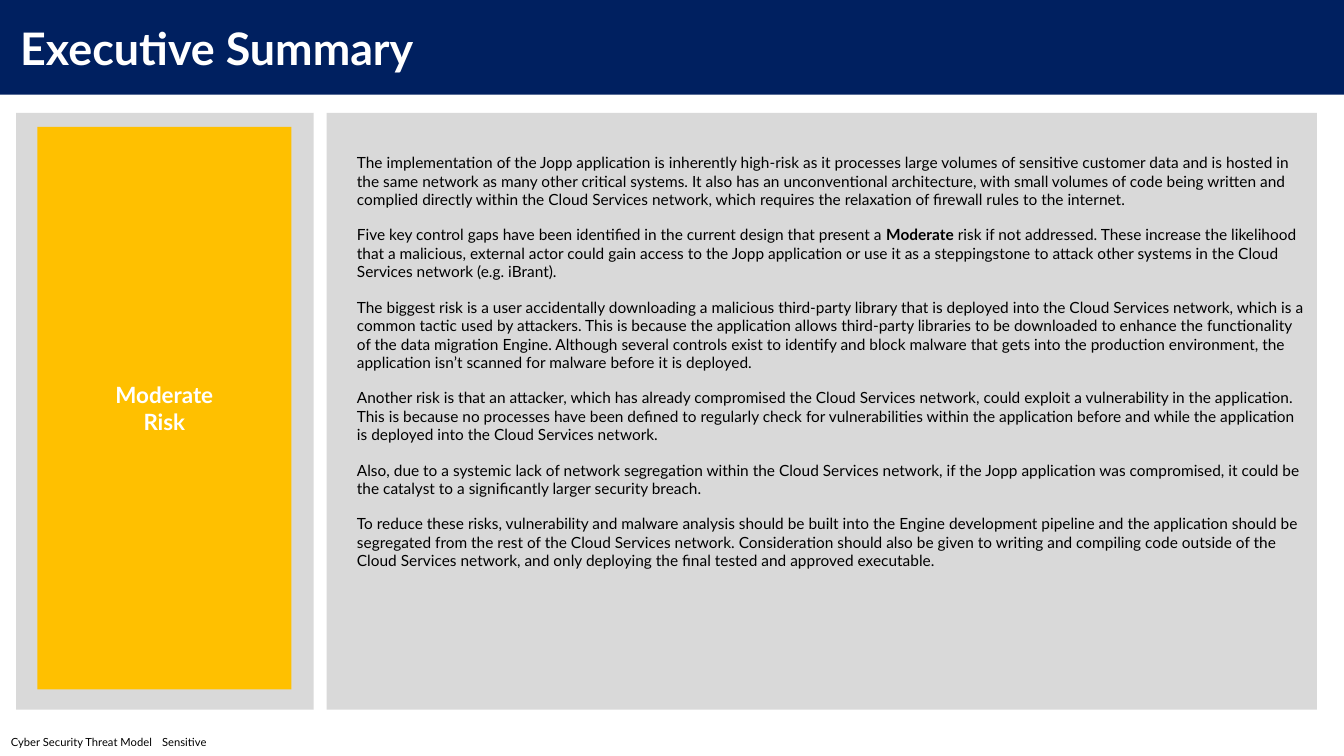
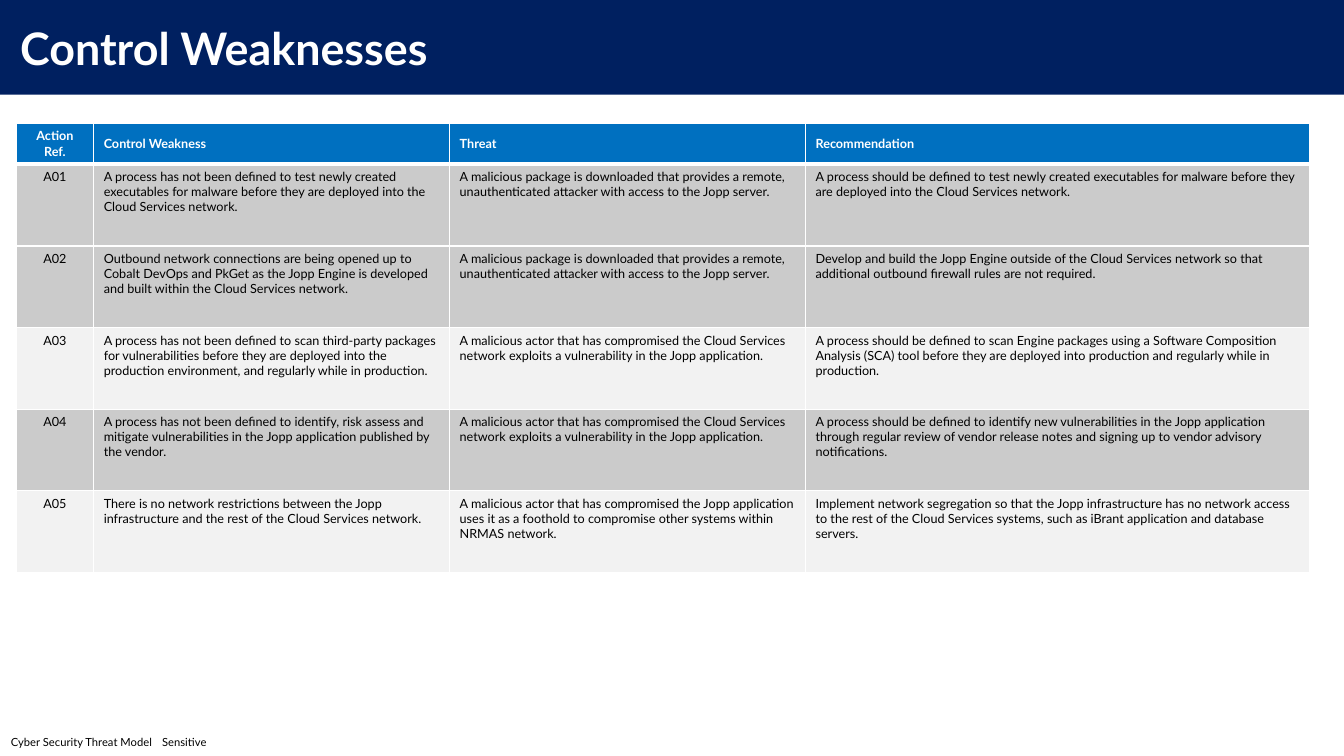
from pptx import Presentation, util as u
from pptx.dml.color import RGBColor
from pptx.enum import shapes, text
from pptx.oxml.ns import qn
from lxml import etree

Inches, Pt = u.Inches, u.Pt
FONT = "Lato"
COLORS = {
    "navy": "002060", "blue": "0070C0", "amber": "FFC000", "white": "FFFFFF",
    "black": "000000", "panel": "D9D9D9", "dark_row": "CBCBCB", "light_row": "F2F2F2",
}
SLIDE_W, SLIDE_H = 13.33, 7.5
LAYOUT_TITLE_BODY, LAYOUT_TITLE_ONLY = 1, 5

# Each paragraph is a list of (text, bold) runs.
SUMMARY = [
    [("The implementation of the Jopp application is inherently high-risk as it processes large "
      "volumes of sensitive customer data and is hosted in the same network as many other critical "
      "systems. It also has an unconventional architecture, with small volumes of code being written "
      "and complied directly within the Cloud Services network, which requires the relaxation of "
      "firewall rules to the internet.", False)],
    [("Five key control gaps have been identified in the current design that present a ", False),
     ("Moderate", True),
     (" risk if not addressed. These increase the likelihood that a malicious, external actor could "
      "gain access to the Jopp application or use it as a steppingstone to attack other systems in "
      "the Cloud Services network (e.g. iBrant).", False)],
    [("The biggest risk is a user accidentally downloading a malicious third-party library that is "
      "deployed into the Cloud Services network, which is a common tactic used by attackers. This is "
      "because the application allows third-party libraries to be downloaded to enhance the "
      "functionality of the data migration Engine. Although several controls exist to identify and "
      "block malware that gets into the production environment, the application isn’t scanned for "
      "malware before it is deployed.", False)],
    [("Another risk is that an attacker, which has already compromised the Cloud Services network, "
      "could exploit a vulnerability in the application. This is because no processes have been "
      "defined to regularly check for vulnerabilities within the application before and while the "
      "application is deployed into the Cloud Services network.", False)],
    [("Also, due to a systemic lack of network segregation within the Cloud Services network, if the "
      "Jopp application was compromised, it could be the catalyst to a significantly larger security "
      "breach.", False)],
    [("To reduce these risks, vulnerability and malware analysis should be built into the Engine "
      "development pipeline and the application should be segregated from the rest of the Cloud "
      "Services network. Consideration should also be given to writing and compiling code outside of "
      "the Cloud Services network, and only deploying the final tested and approved executable.",
      False)],
]

HEADINGS = ["Action Ref.", "Control Weakness", "Threat", "Recommendation"]
COLUMN_WIDTHS = [0.77, 3.53, 3.53, 5]
HEADER_H, ROW_H = 0.41, 0.81
PACKAGE_THREAT = ("A malicious package is downloaded that provides a remote, unauthenticated "
                  "attacker with access to the Jopp server.")
EXPLOIT_THREAT = ("A malicious actor that has compromised the Cloud Services network exploits a "
                  "vulnerability in the Jopp application.")
LIGHT_REFS = {"A03", "A05"}
WEAKNESSES = [
    ("A01",
     "A process has not been defined to test newly created executables for malware before they are "
     "deployed into the Cloud Services network.",
     PACKAGE_THREAT,
     "A process should be defined to test newly created executables for malware before they are "
     "deployed into the Cloud Services network."),
    ("A02",
     "Outbound network connections are being opened up to Cobalt DevOps and PkGet as the Jopp Engine "
     "is developed and built within the Cloud Services network.",
     PACKAGE_THREAT,
     "Develop and build the Jopp Engine outside of the Cloud Services network so that additional "
     "outbound firewall rules are not required."),
    ("A03",
     "A process has not been defined to scan third-party packages for vulnerabilities before they "
     "are deployed into the production environment, and regularly while in production.",
     EXPLOIT_THREAT,
     "A process should be defined to scan Engine packages using a Software Composition Analysis "
     "(SCA) tool before they are deployed into production and regularly while in production."),
    ("A04",
     "A process has not been defined to identify, risk assess and mitigate vulnerabilities in the "
     "Jopp application published by the vendor.",
     EXPLOIT_THREAT,
     "A process should be defined to identify new vulnerabilities in the Jopp application through "
     "regular review of vendor release notes and signing up to vendor advisory notifications."),
    ("A05",
     "There is no network restrictions between the Jopp infrastructure and the rest of the Cloud "
     "Services network.",
     "A malicious actor that has compromised the Jopp application uses it as a foothold to "
     "compromise other systems within NRMAS network.",
     "Implement network segregation so that the Jopp infrastructure has no network access to the "
     "rest of the Cloud Services systems, such as iBrant application and database servers."),
]


def rgb(name):
    return RGBColor.from_string(COLORS[name])


def paint(target, color):
    target.fill.solid()
    target.fill.fore_color.rgb = rgb(color)


def place(shape, left, top, width, height):
    shape.left, shape.top = Inches(left), Inches(top)
    shape.width, shape.height = Inches(width), Inches(height)


def add_run(paragraph, words, size, color="black", bold=False):
    run = paragraph.add_run()
    run.text = words
    run.font.name, run.font.size, run.font.bold = FONT, Pt(size), bold
    run.font.color.rgb = rgb(color)


def indent(paragraph, left):
    """Set a flush left margin without a bullet."""
    props = paragraph._p.get_or_add_pPr()
    props.set("marL", str(Inches(left)))
    props.set("indent", "0")
    etree.SubElement(props, qn("a:buNone"))
    return props


def paragraphs(frame, count):
    return [frame.paragraphs[0]] + [frame.add_paragraph() for _ in range(count - 1)]


def add_title_band(slide, words):
    title = slide.shapes.title
    place(title, 0, 0, SLIDE_W, 0.94)
    paint(title, "navy")
    frame = title.text_frame
    frame.auto_size = text.MSO_AUTO_SIZE.NONE
    frame.vertical_anchor = text.MSO_ANCHOR.MIDDLE
    heading = frame.paragraphs[0]
    heading.alignment = text.PP_ALIGN.LEFT
    indent(heading, 0.1)
    add_run(heading, words, 32, "white", True)


def add_footer(slide):
    height = 0.27
    footer = slide.shapes.add_textbox(0, Inches(SLIDE_H - height), Inches(SLIDE_W), Inches(height))
    frame = footer.text_frame
    frame.word_wrap = True
    frame.vertical_anchor = text.MSO_ANCHOR.MIDDLE
    line = frame.paragraphs[0]
    stops = etree.SubElement(indent(line, 0.01), qn("a:tabLst"))
    etree.SubElement(stops, qn("a:tab"), pos=str(Inches(13.07)), algn="r")
    add_run(line, "Cyber Security Threat Model\tSensitive", 8)


def new_slide(deck, layout, title):
    slide = deck.slides.add_slide(deck.slide_layouts[layout])
    add_title_band(slide, title)
    add_footer(slide)
    return slide


def add_block(slide, left, top, width, height, color):
    block = slide.shapes.add_shape(shapes.MSO_SHAPE.RECTANGLE, Inches(left), Inches(top),
                                   Inches(width), Inches(height))
    block.shadow.inherit = False
    block.line.fill.background()
    paint(block, color)
    return block


def add_rating(slide, left, top, width, height):
    add_block(slide, left, top, width, height, "panel")
    rating = add_block(slide, left + 0.21, top + 0.14, width - 0.43, height - 0.34, "amber")
    frame = rating.text_frame
    frame.vertical_anchor = text.MSO_ANCHOR.MIDDLE
    for line, word in zip(paragraphs(frame, 2), ["Moderate", "Risk"]):
        line.alignment = text.PP_ALIGN.CENTER
        add_run(line, word, 16, "white", True)


def add_summary(slide, left, top, width, height):
    summary = slide.placeholders[1]
    place(summary, left, top, width, height)
    paint(summary, "panel")
    frame = summary.text_frame
    frame.auto_size = text.MSO_AUTO_SIZE.NONE
    frame.vertical_anchor = text.MSO_ANCHOR.TOP
    frame.margin_top = Inches(0.4)
    for paragraph, runs in zip(paragraphs(frame, len(SUMMARY)), SUMMARY):
        paragraph.space_before, paragraph.space_after = Pt(0), Pt(12)
        indent(paragraph, 0.2)
        for words, bold in runs:
            add_run(paragraph, words, 11, bold=bold)


def set_borders(cell, top, bottom):
    """Draw white cell borders; top and bottom are widths in points."""
    props = cell._tc.get_or_add_tcPr()
    widths = {"a:lnL": 1, "a:lnR": 1, "a:lnT": top, "a:lnB": bottom}
    for position, (side, width) in enumerate(widths.items()):
        border = etree.Element(qn(side), w=str(Pt(width)))
        fill = etree.SubElement(border, qn("a:solidFill"))
        etree.SubElement(fill, qn("a:srgbClr"), val=COLORS["white"])
        props.insert(position, border)


def fill_cell(cell, words, shade, is_header, centred):
    paint(cell, shade)
    cell.vertical_anchor = text.MSO_ANCHOR.MIDDLE if is_header else text.MSO_ANCHOR.TOP
    line = cell.text_frame.paragraphs[0]
    line.alignment = text.PP_ALIGN.CENTER if centred else text.PP_ALIGN.LEFT
    add_run(line, words, 9, "white" if is_header else "black", is_header)


def add_weaknesses(slide, left, top):
    rows = [HEADINGS, *WEAKNESSES]
    height = HEADER_H + ROW_H * len(WEAKNESSES)
    table = slide.shapes.add_table(len(rows), len(HEADINGS), Inches(left), Inches(top),
                                   Inches(sum(COLUMN_WIDTHS)), Inches(height)).table
    for column, width in zip(table.columns, COLUMN_WIDTHS):
        column.width = Inches(width)
    for r, row in enumerate(rows):
        is_header = r == 0
        table.rows[r].height = Inches(HEADER_H if is_header else ROW_H)
        shade = "blue" if is_header else "light_row" if row[0] in LIGHT_REFS else "dark_row"
        for c, words in enumerate(row):
            cell = table.cell(r, c)
            fill_cell(cell, words, shade, is_header, centred=c == 0)
            set_borders(cell, top=3 if r == 1 else 1, bottom=3 if is_header else 1)


def executive_summary(deck):
    slide = new_slide(deck, LAYOUT_TITLE_BODY, "Executive Summary")
    top, height = 1.12, 5.92
    add_summary(slide, 3.24, top, 9.82, height)
    add_rating(slide, 0.16, top, 2.95, height)


def control_weaknesses(deck):
    slide = new_slide(deck, LAYOUT_TITLE_ONLY, "Control Weaknesses")
    add_weaknesses(slide, 0.16, 1.22)


def main():
    deck = Presentation()
    deck.slide_width, deck.slide_height = Inches(SLIDE_W), Inches(SLIDE_H)
    executive_summary(deck)
    control_weaknesses(deck)
    deck.save("out.pptx")


if __name__ == "__main__":
    main()
